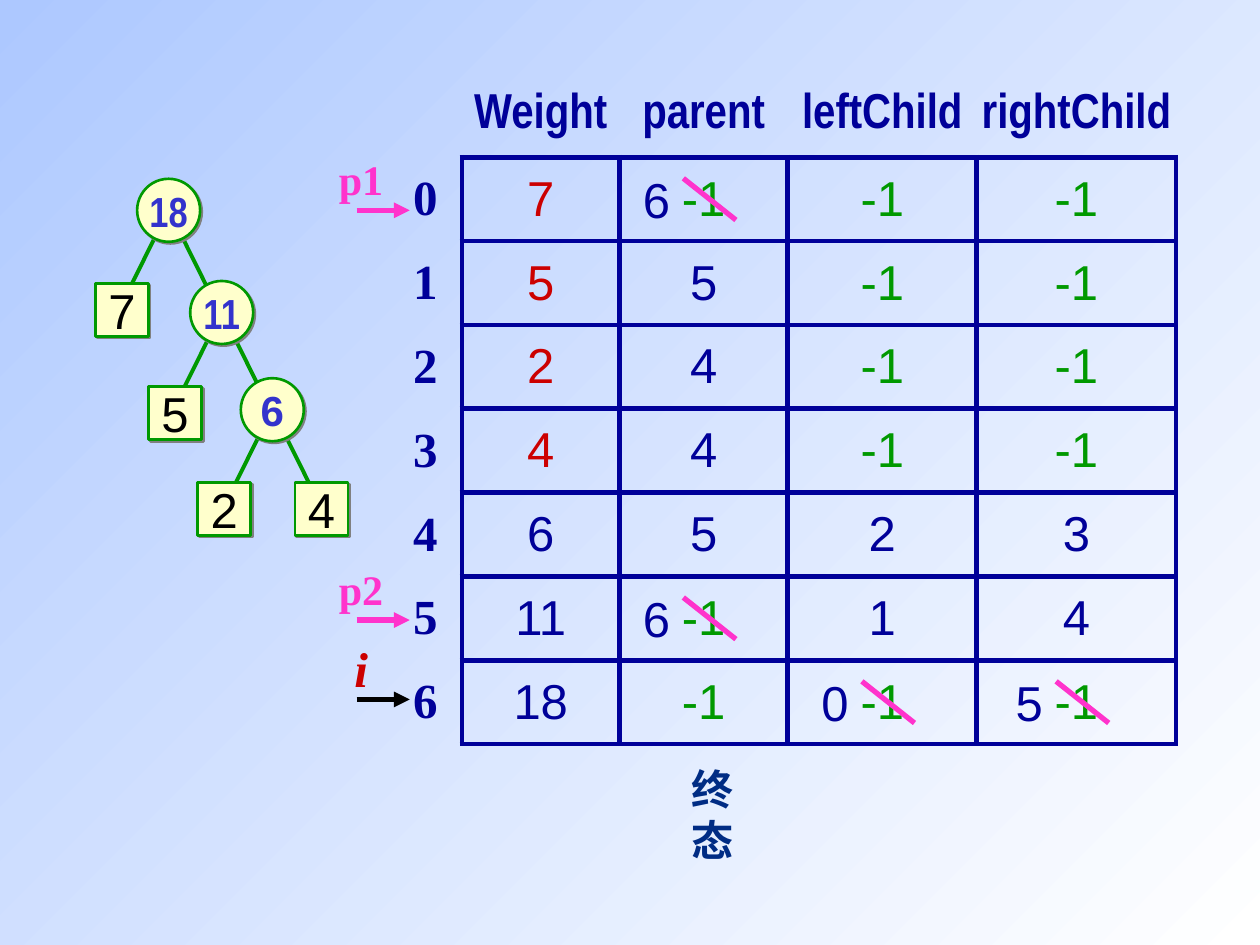
from dataclasses import dataclass

from pptx import Presentation
from pptx.dml.color import RGBColor
from pptx.enum.shapes import MSO_CONNECTOR, MSO_SHAPE
from pptx.enum.text import MSO_ANCHOR, PP_ALIGN
from pptx.oxml import parse_xml
from pptx.oxml.ns import nsdecls
from pptx.util import Cm, Pt


@dataclass(frozen=True)
class Theme:
    navy: str = "000099"
    red: str = "CC0000"
    green: str = "009900"
    pink: str = "FF33CC"
    black: str = "000000"
    violet: str = "3333CC"
    cream: str = "FFFFCC"
    title: str = "002C84"
    sky: str = "ADC8FF"
    white: str = "FFFFFF"
    sans: str = "Arial"
    narrow: str = "Arial Narrow"
    serif: str = "Times New Roman"
    asian: str = "Noto Sans CJK SC"
    large: int = 28
    small: int = 24


THEME = Theme()
HEADS = ["Weight", "parent", "leftChild", "rightChild"]
ROWS = [
    ["7", "-1", "-1", "-1"],
    ["5", "5", "-1", "-1"],
    ["2", "4", "-1", "-1"],
    ["4", "4", "-1", "-1"],
    ["6", "5", "2", "3"],
    ["11", "-1", "1", "4"],
    ["18", "-1", "-1", "-1"],
]
LEAVES = 4
WIDTHS = [1.47, 3.18, 3.39, 3.81, 4.02]
ROW = 1.69
# row, column and new value of each cell whose -1 is struck out
FIXES = [(0, 1, "6"), (5, 1, "6"), (6, 2, "0"), (6, 3, "5")]
# label, centre x, centre y, inner node or leaf
NODES = [
    ("18", 1.54, 0.64, True), ("11", 2.61, 2.7, True), ("6", 3.63, 4.66, True),
    ("7", 0.6, 2.65, False), ("5", 1.67, 4.73, False),
    ("2", 2.66, 6.66, False), ("4", 4.62, 6.66, False),
]


def write(frame, text, font, size, color, bold=False, slant=False):
    frame.text = text
    frame.word_wrap = False
    frame.margin_left = frame.margin_right = 0
    frame.margin_top = frame.margin_bottom = 0
    frame.vertical_anchor = MSO_ANCHOR.MIDDLE
    para = frame.paragraphs[0]
    para.alignment = PP_ALIGN.CENTER
    run = para.runs[0]
    run.font.name, run.font.size = font, Pt(size)
    run.font.bold, run.font.italic = bold, slant
    run.font.color.rgb = RGBColor.from_string(color)
    return run


def label(slide, x, y, *style):
    """Write a text centred on the point x, y."""
    wide, high = 1.4, 1.27
    box = slide.shapes.add_textbox(Cm(x - wide / 2), Cm(y - high / 2), Cm(wide), Cm(high))
    return write(box.text_frame, *style)


def link(slide, x1, y1, x2, y2, color, width, arrow=False):
    line = slide.shapes.add_connector(
        MSO_CONNECTOR.STRAIGHT, Cm(x1), Cm(y1), Cm(x2), Cm(y2))
    line.line.color.rgb = RGBColor.from_string(color)
    line.line.width = Pt(width)
    if arrow:
        line.line._get_or_add_ln().append(
            parse_xml(f'<a:tailEnd {nsdecls("a")} type="triangle"/>'))
    line._element.spPr.append(parse_xml(f'<a:effectLst {nsdecls("a")}/>'))


def node(slide, text, x, y, inner):
    size = 1.27 if inner else 1.07
    kind = MSO_SHAPE.OVAL if inner else MSO_SHAPE.RECTANGLE
    shape = slide.shapes.add_shape(
        kind, Cm(x - size / 2), Cm(y - size / 2), Cm(size), Cm(size))
    shape.fill.solid()
    shape.fill.fore_color.rgb = RGBColor.from_string(THEME.cream)
    shape.line.color.rgb = RGBColor.from_string(THEME.green)
    shape.line.width = Pt(1.5)
    shape.shadow.inherit = False
    shape._element.spPr.effectLst.append(parse_xml(
        f'<a:outerShdw {nsdecls("a")} dist="{Pt(1.4)}" dir="2700000">'
        '<a:srgbClr val="808080"/></a:outerShdw>'))
    if inner:
        font = THEME.narrow if len(text) > 1 else THEME.sans
        write(shape.text_frame, text, font, THEME.small, THEME.violet, True)
    else:
        write(shape.text_frame, text, THEME.sans, THEME.large, THEME.black)


def tree(slide, left, top):
    for _, x, y, inner in NODES:
        for side in (-1, 1) if inner else ():
            link(slide, left + x + side * 0.22, top + y + 0.43,
                 left + x + side * 0.85, top + y + 1.7, THEME.green, 2.25)
    for text, x, y, inner in NODES:
        node(slide, text, left + x, top + y, inner)


def edge(cell, sides):
    """Draw the named sides of a cell and hide the others."""
    props = cell._tc.get_or_add_tcPr()
    for spot, side in enumerate("LRTB"):
        paint = (f'<a:solidFill><a:srgbClr val="{THEME.navy}"/></a:solidFill>'
                 if side in sides else "<a:noFill/>")
        props.insert(spot, parse_xml(
            f'<a:ln{side} {nsdecls("a")} w="{Pt(3)}">{paint}</a:ln{side}>'))


def style(row, col, text):
    """Give font, size, colour and weight of a grid cell."""
    if row == 0:
        return THEME.narrow, THEME.large, THEME.navy, True
    if col == 0:
        return THEME.serif, THEME.large, THEME.navy, True
    if text == "-1":
        return THEME.sans, THEME.large, THEME.green
    leaf = col == 1 and row <= LEAVES
    return THEME.sans, THEME.large, THEME.red if leaf else THEME.navy


def grid(slide, left, top):
    data = [[""] + HEADS] + [[str(i)] + row for i, row in enumerate(ROWS)]
    frame = slide.shapes.add_table(
        len(data), len(WIDTHS), Cm(left), Cm(top), Cm(sum(WIDTHS)), Cm(ROW * len(data)))
    table = frame.table
    table.first_row = table.horz_banding = False
    for col, width in zip(table.columns, WIDTHS):
        col.width = Cm(width)
    for r, line in enumerate(data):
        table.rows[r].height = Cm(ROW)
        for c, text in enumerate(line):
            cell = table.cell(r, c)
            cell.margin_left = cell.margin_right = 0
            cell.margin_top = cell.margin_bottom = 0
            cell.vertical_anchor = MSO_ANCHOR.MIDDLE
            cell.fill.background()
            if r and c:
                edge(cell, "LRTB")
            else:
                edge(cell, "B" if c else "R" if r else "")
            if text:
                write(cell.text_frame, text, *style(r, c, text))
    for r, c, text in FIXES:
        x = left + sum(WIDTHS[:c + 1]) + WIDTHS[c + 1] / 2
        y = top + ROW * (r + 1.5)
        label(slide, x - 0.95, y, text, THEME.sans, THEME.large, THEME.navy)
        link(slide, x - 0.41, y - 0.42, x + 0.65, y + 0.42, THEME.pink, 3)


def point(slide, left, y, color, *words):
    """Draw an arrow to the grid with its name above."""
    link(slide, left, y, left + 1.07, y, color, 3, True)
    label(slide, left + 0.09, y - 0.64, *words)


def paint(slide):
    fill = slide.background.fill
    fill.gradient()
    fill.gradient_angle = 135
    for stop, color in zip(fill.gradient_stops, (THEME.white, THEME.sky)):
        stop.color.rgb = RGBColor.from_string(color)


def main():
    deck = Presentation()
    deck.slide_width, deck.slide_height = Cm(25.4), Cm(19.05)
    slide = deck.slides.add_slide(deck.slide_layouts[6])
    paint(slide)
    tree(slide, 1.86, 3.6)
    grid(slide, 7.84, 1.48)
    for text, y in (("p1", 4.24), ("p2", 12.5)):
        point(slide, 7.19, y, THEME.pink, text, THEME.serif, THEME.small, THEME.pink, True)
    point(slide, 7.19, 14.1, THEME.black,
          "i", THEME.serif, THEME.large, THEME.red, True, True)
    run = label(slide, 14.37, 16.41, "终 态", THEME.serif, THEME.small, THEME.title, True)
    run._r.get_or_add_rPr().append(
        parse_xml(f'<a:ea {nsdecls("a")} typeface="{THEME.asian}"/>'))
    deck.save("out.pptx")


if __name__ == "__main__":
    main()
